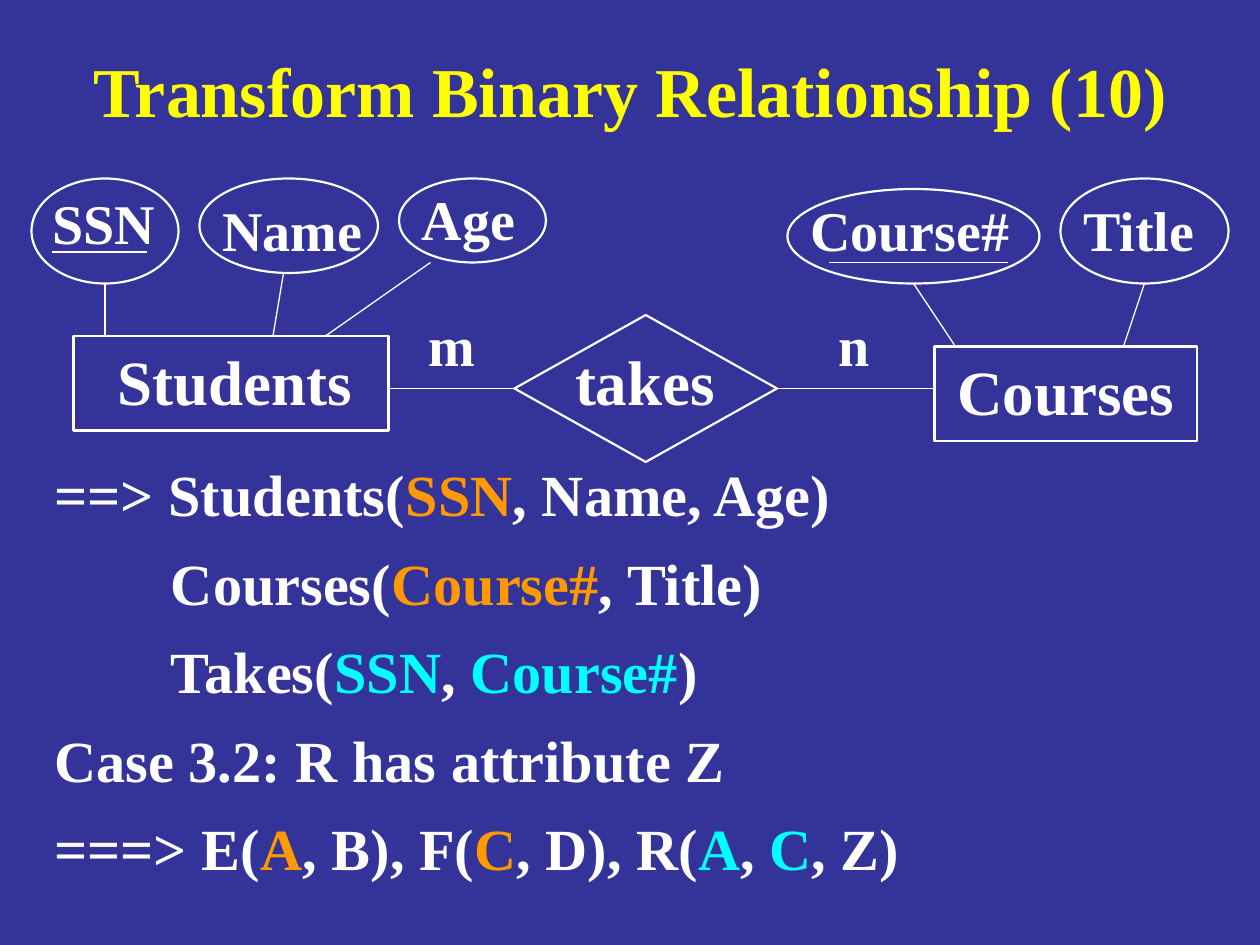
from lxml import etree
from pptx import Presentation
from pptx import util as u
from pptx.dml.color import RGBColor
from pptx.enum import shapes, text
from pptx.oxml.ns import qn

FONT = "Times New Roman"
COLORS = {
    "background": "333399",
    "title": "FFFF00",
    "plain": "FFFFFF",
    "key": "FF9900",
    "foreign": "00FFFF",
}
OUTLINES = {
    "entity": shapes.MSO_SHAPE.RECTANGLE,
    "relationship": shapes.MSO_SHAPE.DIAMOND,
    "attribute": shapes.MSO_SHAPE.OVAL,
}
NODES = [
    ("entity", 42, 192, 180, 54),
    ("entity", 534, 198, 150, 54),
    ("relationship", 294, 180, 150, 84),
    ("attribute", 18, 102, 84, 60),
    ("attribute", 114, 102, 102, 54),
    ("attribute", 228, 102, 84, 48),
    ("attribute", 450, 108, 144, 54),
    ("attribute", 606, 102, 96, 60),
]
LABELS = [
    ("Students", 60, 192, 36),
    ("takes", 321.5, 192, 36),
    ("Courses", 540, 198, 36),
    ("SSN", 23, 104, 32),
    ("Name", 120, 108, 32),
    ("Age", 234, 102, 32),
    ("Course#", 456, 108, 32),
    ("Title", 612, 108, 32),
    ("m", 238, 174, 32),
    ("n", 472, 174, 32),
]
ATTRIBUTE_LINKS = [
    (60, 192, 60, 162),
    (156, 192, 162, 156),
    (246, 150, 186, 192),
    (546, 198, 522, 162),
    (654, 162, 642, 198),
]
RELATIONSHIP_LINKS = [(222, 222, 294, 222), (444, 222, 534, 222)]
KEY_UNDERLINES = [(30, 144, 84, 144), (474, 150, 576, 150)]
SCHEMA_INDENT = 66.6
SCHEMA = [
    (0, [("==> Students(", "plain"), ("SSN", "key"), (", Name, Age)", "plain")]),
    (SCHEMA_INDENT, [("Courses(", "plain"), ("Course#", "key"), (", Title)", "plain")]),
    (SCHEMA_INDENT, [("Takes(", "plain"), ("SSN", "foreign"), (", ", "plain"),
                     ("Course#", "foreign"), (")", "plain")]),
    (0, [("Case 3.2: R has attribute Z", "plain")]),
    (0, [("===> E(", "plain"), ("A", "key"), (", B), F(", "plain"), ("C", "key"),
         (", D), R(", "plain"), ("A", "foreign"), (", ", "plain"),
         ("C", "foreign"), (", Z)", "plain")]),
]


def rgb(name):
    return RGBColor.from_string(COLORS[name])


def points(*lengths):
    return [u.Pt(length) for length in lengths]


def add_run(paragraph, wording, size, color="plain"):
    run = paragraph.add_run()
    run.text = wording
    run.font.name = FONT
    run.font.size = u.Pt(size)
    run.font.bold = True
    run.font.color.rgb = rgb(color)


def add_text_frame(slide, left, top, width, height):
    frame = slide.shapes.add_textbox(*points(left, top, width, height)).text_frame
    frame.word_wrap = True
    return frame


def add_title(slide, wording):
    frame = add_text_frame(slide, 42, 24, 636, 54)
    frame.vertical_anchor = text.MSO_ANCHOR.MIDDLE
    paragraph = frame.paragraphs[0]
    paragraph.alignment = text.PP_ALIGN.CENTER
    add_run(paragraph, wording, 40, "title")


def add_label(slide, wording, left, top, size):
    width = 15 + size * (0.55 * len(wording) + 0.5)
    frame = add_text_frame(slide, left, top, width, size + 14)
    add_run(frame.paragraphs[0], wording, size)


def add_node(slide, kind, *box):
    shape = slide.shapes.add_shape(OUTLINES[kind], *points(*box))
    shape.shadow.inherit = False
    shape.fill.background()
    shape.line.color.rgb = rgb("plain")
    shape.line.width = u.Pt(1.25)


def add_line(slide, *ends):
    line = slide.shapes.add_connector(shapes.MSO_CONNECTOR.STRAIGHT, *points(*ends))
    line.line.color.rgb = rgb("plain")
    line.line.width = u.Pt(0.75)
    etree.SubElement(line._element.spPr, qn("a:effectLst"))


def add_schema(slide):
    frame = add_text_frame(slide, 24, 258.5, 672, 250)
    for index, (indent, runs) in enumerate(SCHEMA):
        paragraph = frame.add_paragraph() if index else frame.paragraphs[0]
        paragraph._p.get_or_add_pPr().set("marL", str(u.Pt(indent)))
        if index:
            paragraph.space_before = u.Pt(10.6)
        for wording, color in runs:
            add_run(paragraph, wording, 33.3, color)


def main():
    presentation = Presentation()
    presentation.slide_width, presentation.slide_height = points(720, 540)
    slide = presentation.slides.add_slide(presentation.slide_layouts[6])
    slide.background.fill.solid()
    slide.background.fill.fore_color.rgb = rgb("background")

    add_title(slide, "Transform Binary Relationship (10)")
    add_schema(slide)
    for node in NODES:
        add_node(slide, *node)
    for label in LABELS:
        add_label(slide, *label)
    for ends in ATTRIBUTE_LINKS + RELATIONSHIP_LINKS + KEY_UNDERLINES:
        add_line(slide, *ends)
    presentation.save("out.pptx")


if __name__ == "__main__":
    main()
